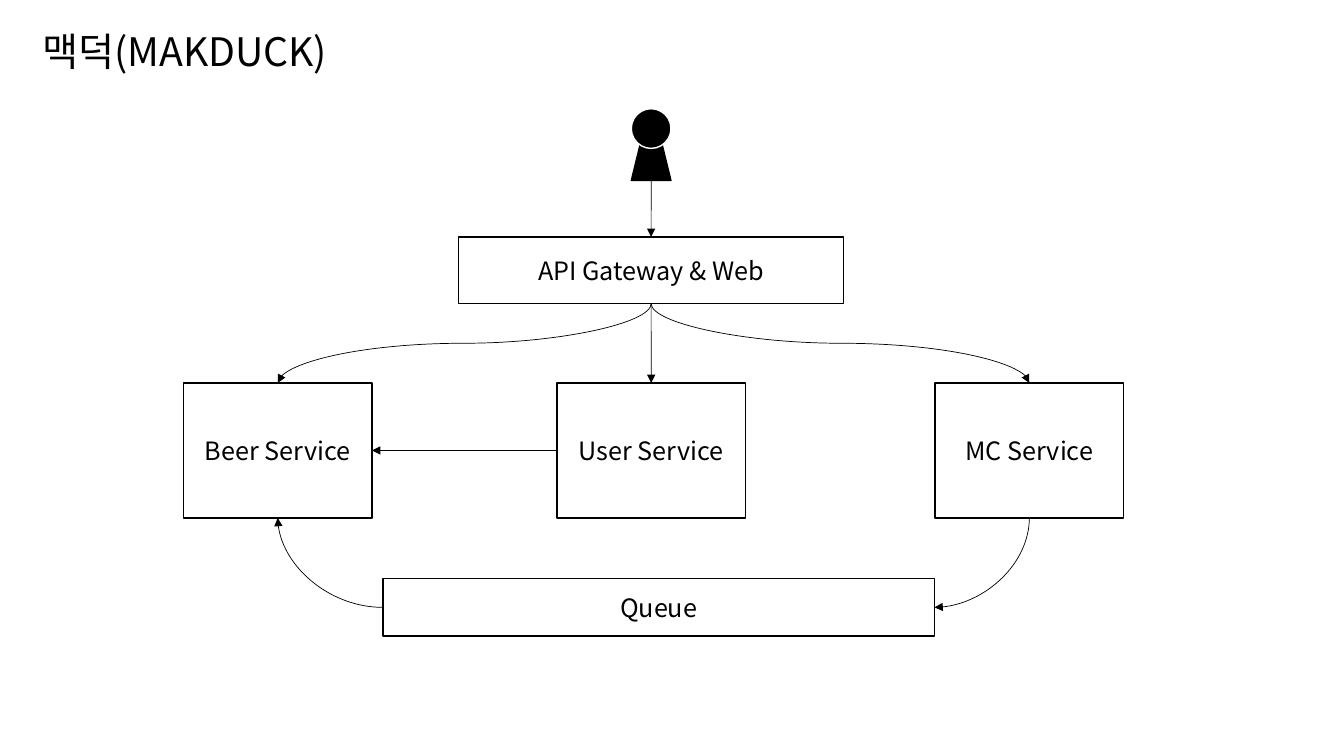
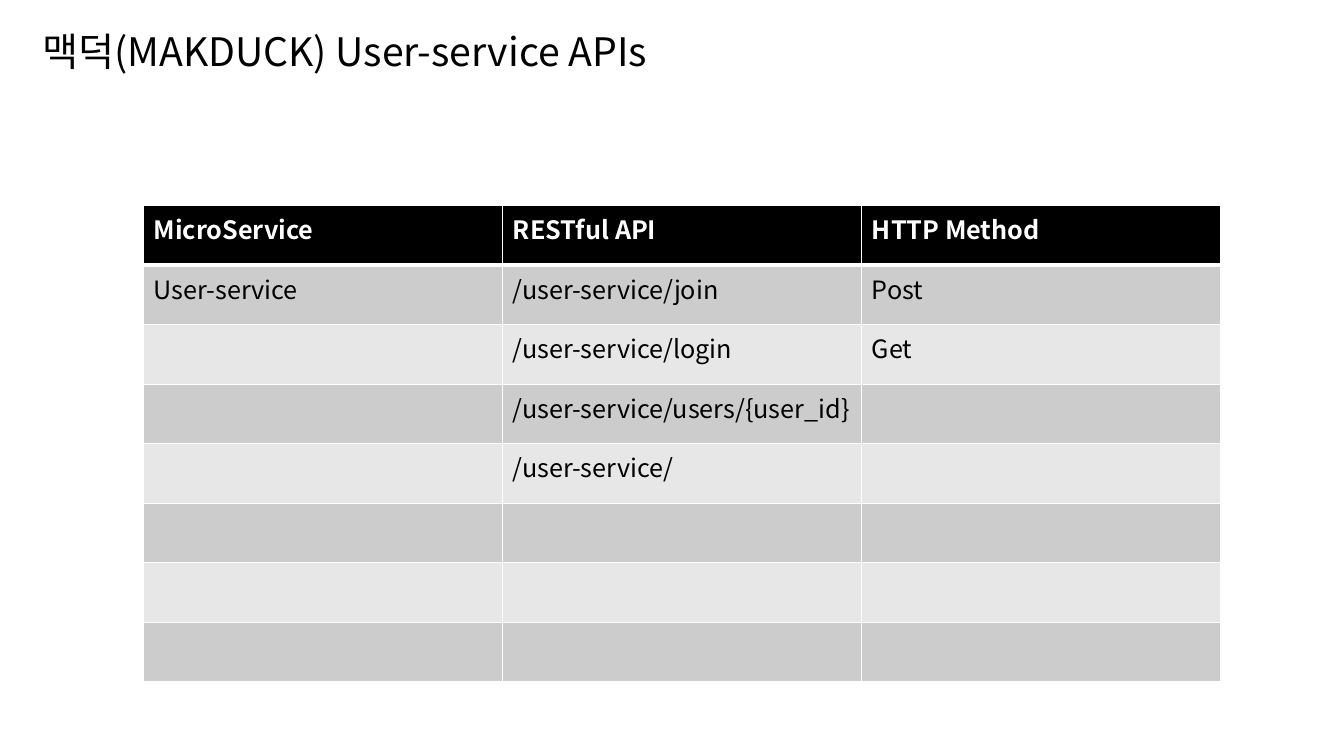
from lxml.etree import SubElement
from pptx import Presentation
from pptx.dml.color import RGBColor
from pptx.enum.shapes import MSO_CONNECTOR, MSO_SHAPE
from pptx.enum.text import MSO_ANCHOR, MSO_AUTO_SIZE, PP_ALIGN
from pptx.oxml.ns import qn
from pptx.util import Cm, Pt

FONT = "Noto Sans CJK KR"
BLACK = RGBColor(0x00, 0x00, 0x00)
WHITE = RGBColor(0xFF, 0xFF, 0xFF)
DARK_BAND = RGBColor(0xCC, 0xCC, 0xCC)
LIGHT_BAND = RGBColor(0xE7, 0xE7, 0xE7)

TOP, LEFT, BOTTOM, RIGHT = range(4)

# Diagram: name -> text, centre x, top, width, height (cm)
AXIS = 16.41
BOXES = {
    "gateway": ("API Gateway & Web", AXIS, 5.97, 9.7, 1.68),
    "beer": ("Beer Service", 7.0, 9.65, 4.75, 3.4),
    "mc": ("MC Service", 25.94, 9.65, 4.75, 3.4),
    "user": ("User Service", AXIS, 9.65, 4.75, 3.4),
    "queue": ("Queue", 16.6, 14.58, 13.9, 1.45),
}
# From, side, to, side
STRAIGHT_ARROWS = [
    ("person", BOTTOM, "gateway", TOP),
    ("gateway", BOTTOM, "user", TOP),
    ("user", LEFT, "beer", RIGHT),
]
# From, side, to, side, preset, rotation, mirrored
CURVED_ARROWS = [
    ("gateway", BOTTOM, "beer", TOP, "curvedConnector3", 90, False),
    ("gateway", BOTTOM, "mc", TOP, "curvedConnector3", 270, True),
    ("mc", BOTTOM, "queue", RIGHT, "curvedConnector2", 90, False),
    ("queue", LEFT, "beer", BOTTOM, "curvedConnector2", 180, False),
]

API_ROWS = [
    ("MicroService", "RESTful API", "HTTP Method"),
    ("User-service", "/user-service/join", "Post"),
    ("", "/user-service/login", "Get"),
    ("", "/user-service/users/{user_id}", ""),
    ("", "/user-service/", ""),
    ("", "", ""),
    ("", "", ""),
    ("", "", ""),
]
COLUMN_WIDTH, ROW_HEIGHT = Cm(9.05), Cm(1.5)


def write(frame, text, size=18, color=BLACK, bold=False, align=PP_ALIGN.LEFT):
    para = frame.paragraphs[0]
    para.alignment = align
    span = para.add_run()
    span.text = text
    font = span.font
    font.size, font.bold, font.name = Pt(size), bold, FONT
    font.color.rgb = color
    SubElement(span._r.get_or_add_rPr(), qn("a:ea"), typeface=FONT)


def add_page(deck, title, width):
    page = deck.slides.add_slide(deck.slide_layouts[5])
    box = page.shapes.title
    box.left, box.top, box.width, box.height = Cm(0.81), Cm(0.56), width, Cm(1.45)
    frame = box.text_frame
    frame.word_wrap = True
    frame.auto_size = MSO_AUTO_SIZE.SHAPE_TO_FIT_TEXT
    frame.vertical_anchor = MSO_ANCHOR.TOP
    write(frame, title, size=28)
    return page


def add_figure(page, preset, center, top, width, height, fill=None, line=BLACK):
    shape = page.shapes.add_shape(
        preset, Cm(center - width / 2), Cm(top), Cm(width), Cm(height))
    shape.shadow.inherit = False
    if fill is None:
        shape.fill.background()
    else:
        shape.fill.solid()
        shape.fill.fore_color.rgb = fill
    shape.line.color.rgb = line
    shape.line.width = Pt(1)
    return shape


def add_arrow(page, kind, start, start_side, end, end_side):
    arrow = page.shapes.add_connector(kind, 0, 0, 0, 0)
    arrow.begin_connect(start, start_side)
    arrow.end_connect(end, end_side)
    arrow.line.color.rgb = BLACK
    arrow.line.width = Pt(0.5)
    SubElement(arrow.line._get_or_add_ln(), qn("a:tailEnd"), type="triangle")
    SubElement(arrow.element.spPr, qn("a:effectLst"))
    return arrow


def bend(arrow, preset, rotation, mirrored):
    """Turn a curved arrow in place so that it leaves its box at a right angle."""
    if rotation in (90, 270):
        width, height = arrow.width, arrow.height
        arrow.left += (width - height) // 2
        arrow.top += (height - width) // 2
        arrow.width, arrow.height = height, width
    frame = arrow.element.spPr.find(qn("a:xfrm"))
    frame.set("rot", str(rotation * 60000))
    frame.set("flipH", str(int(mirrored)))
    frame.set("flipV", "0")
    arrow.element.spPr.find(qn("a:prstGeom")).set("prst", preset)


def add_border(cell, side, width):
    line = SubElement(cell._tc.get_or_add_tcPr(), qn("a:" + side), w=str(Pt(width)))
    fill = SubElement(line, qn("a:solidFill"))
    SubElement(fill, qn("a:srgbClr"), val=str(WHITE))


def add_diagram(page):
    figures = {}
    for name, (text, *place) in BOXES.items():
        box = figures[name] = add_figure(page, MSO_SHAPE.RECTANGLE, *place)
        box.text_frame.vertical_anchor = MSO_ANCHOR.MIDDLE
        write(box.text_frame, text, align=PP_ALIGN.CENTER)

    # Person: body, then head
    figures["person"] = add_figure(
        page, MSO_SHAPE.TRAPEZOID, AXIS, 3.53, 1, 1.02, fill=BLACK)
    add_figure(page, MSO_SHAPE.OVAL, AXIS, 2.74, 1, 1, fill=BLACK, line=WHITE)

    # Arrows
    for start, start_side, end, end_side in STRAIGHT_ARROWS:
        add_arrow(page, MSO_CONNECTOR.STRAIGHT,
                  figures[start], start_side, figures[end], end_side)
    for start, start_side, end, end_side, *curve in CURVED_ARROWS:
        arrow = add_arrow(page, MSO_CONNECTOR.CURVE,
                          figures[start], start_side, figures[end], end_side)
        bend(arrow, *curve)


def add_api_table(page):
    rows, columns = len(API_ROWS), len(API_ROWS[0])
    table = page.shapes.add_table(
        rows, columns, Cm(3.62), Cm(5.18),
        COLUMN_WIDTH * columns, ROW_HEIGHT * rows).table
    for column in table.columns:
        column.width = COLUMN_WIDTH
    for r, texts in enumerate(API_ROWS):
        header = r == 0
        band = BLACK if header else DARK_BAND if r % 2 else LIGHT_BAND
        for c, text in enumerate(texts):
            cell = table.cell(r, c)
            add_border(cell, "lnL", 1)
            add_border(cell, "lnR", 1)
            add_border(cell, "lnT", 3 if r == 1 else 1)
            add_border(cell, "lnB", 3 if header else 1)
            cell.fill.solid()
            cell.fill.fore_color.rgb = band
            if text:
                write(cell.text_frame, text,
                      color=WHITE if header else BLACK, bold=header)


def main():
    deck = Presentation()
    deck.slide_width, deck.slide_height = Cm(33.87), Cm(19.05)
    add_diagram(add_page(deck, "맥덕(MAKDUCK)", Cm(14.68)))
    add_api_table(add_page(deck, "맥덕(MAKDUCK) User-service APIs", Cm(21.08)))
    deck.save("out.pptx")


if __name__ == "__main__":
    main()
